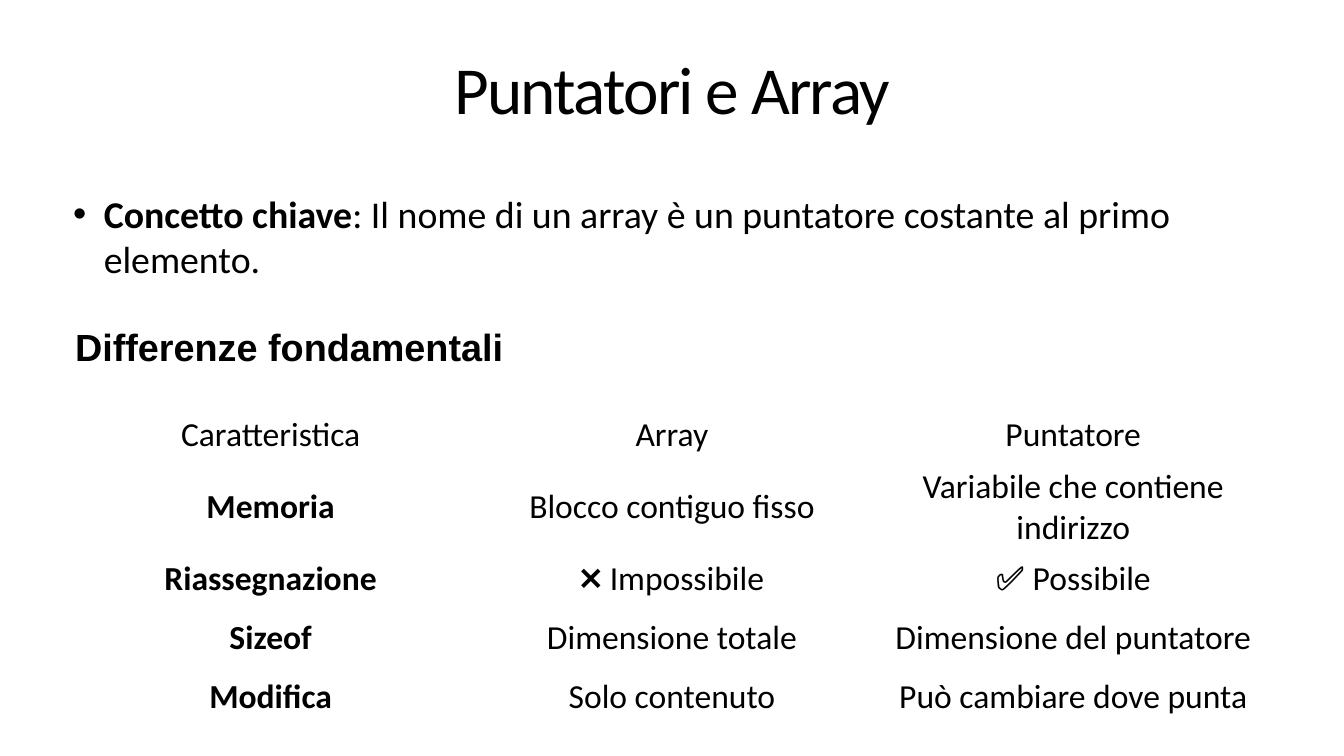
"""Build the slide on pointers and arrays."""
from lxml import etree
from pptx import Presentation, util as u
from pptx.dml.color import RGBColor
from pptx.enum import text as t
from pptx.oxml import ns

INK = "000000"
LEFT, WIDE = 1.39, 23.89
ROW = 1.17


def style(par, size, face="Calibri", bold=None):
    font = par.font
    font.size, font.name, font.bold = u.Pt(size), face, bold
    font.color.rgb = RGBColor.from_string(INK)


def box(top, width, height, inset, anchor):
    area = [u.Inches(n) for n in (LEFT, top, width, height)]
    frame = slide.shapes.add_textbox(*area).text_frame
    frame.margin_left = frame.margin_right = u.Inches(inset)
    frame.margin_top = frame.margin_bottom = u.Inches(0.06)
    frame.vertical_anchor = anchor
    frame.word_wrap = True
    return frame.paragraphs[0]


deck = Presentation()
deck.slide_width, deck.slide_height = u.Inches(26.67), u.Inches(15)
slide = deck.slides.add_slide(deck.slide_layouts[6])

title = box(0.89, WIDE, 1.7, 0.06, t.MSO_ANCHOR.BOTTOM)
run = title.add_run()
run.text = "Puntatori e Array"
run.font._element.set("spc", "-250")
title.alignment = t.PP_ALIGN.CENTER
title.line_spacing = 0.8
style(title, 96)

body = box(3.72, WIDE, 10.17, 0.06, t.MSO_ANCHOR.TOP)
props = body._p.get_or_add_pPr()
props.set("marL", str(u.Inches(0.61)))
props.set("indent", str(u.Inches(-0.61)))
etree.SubElement(props, ns.qn("a:buFont")).set("typeface", "Arial")
etree.SubElement(props, ns.qn("a:buChar")).set("char", "•")
style(body, 54)
for words, bold in (
    ("Concetto chiave", True),
    (": Il nome di un array è un puntatore costante al primo elemento.", False),
):
    run = body.add_run()
    run.text, run.font.bold = words, bold

rows = (
    ("Caratteristica", "Array", "Puntatore"),
    ("Memoria", "Blocco contiguo fisso", "Variabile che contiene indirizzo"),
    ("Riassegnazione", "❌ Impossibile", "✅ Possibile"),
    ("Sizeof", "Dimensione totale", "Dimensione del puntatore"),
    ("Modifica", "Solo contenuto", "Può cambiare dove punta"),
)
area = [u.Inches(n) for n in (LEFT, 8.04, WIDE, ROW * len(rows))]
table = slide.shapes.add_table(len(rows), len(rows[0]), *area).table
table.first_row = table.horz_banding = False
for r, row in enumerate(rows):
    for c, words in enumerate(row):
        cell = table.cell(r, c)
        cell.text = words
        cell.fill.background()
        cell.vertical_anchor = t.MSO_ANCHOR.MIDDLE
        par = cell.text_frame.paragraphs[0]
        par.alignment = t.PP_ALIGN.CENTER
        style(par, 48, bold=r > 0 and c == 0)

head = box(6.36, 8.78, 1.68, 0.1, t.MSO_ANCHOR.TOP)
head.text = "Differenze fondamentali"
style(head, 54, "Arial", True)

deck.save("out.pptx")
